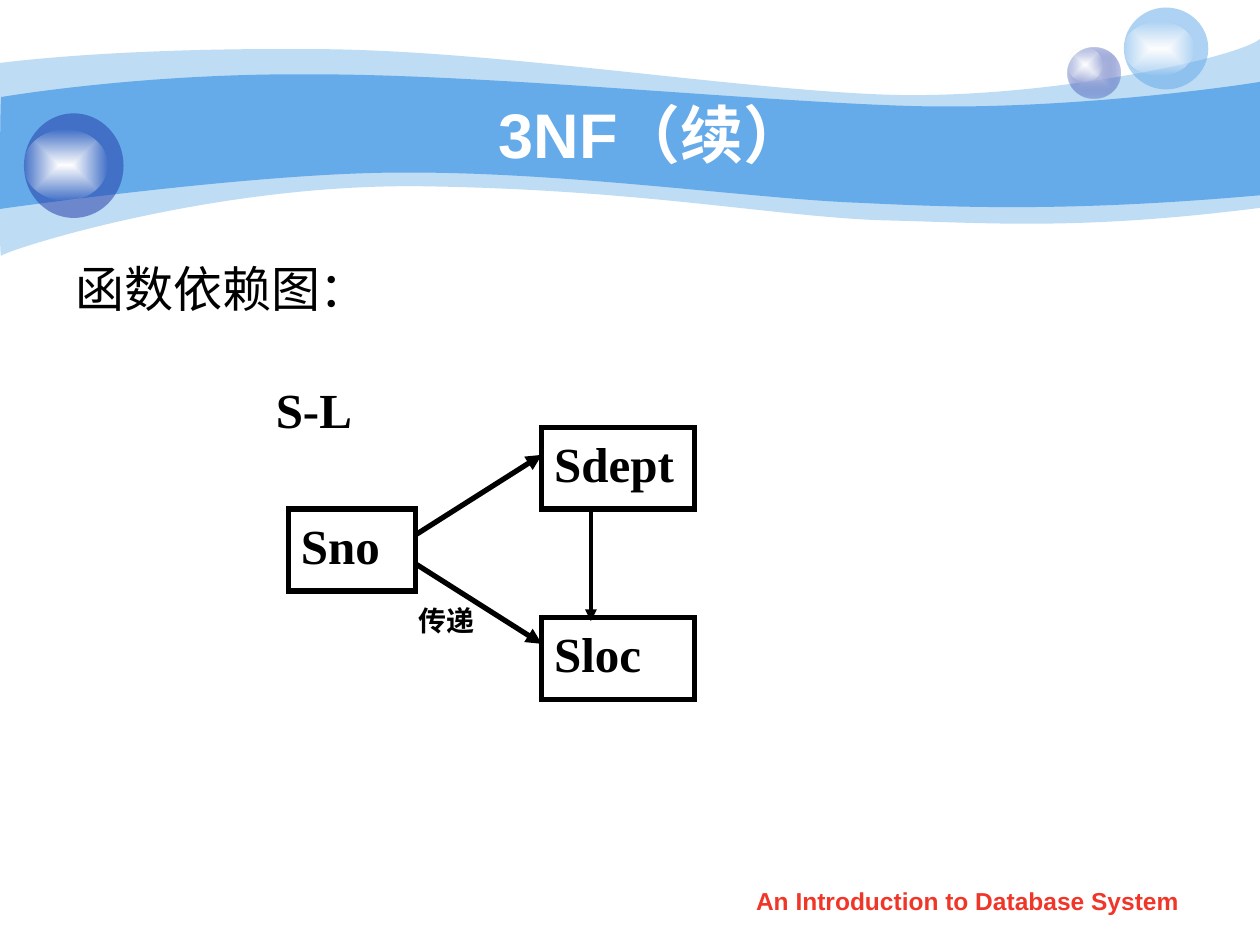
from dataclasses import dataclass

import pptx
import pptx.dml.color
import pptx.enum.shapes
import pptx.enum.text
import pptx.oxml
import pptx.oxml.ns
import pptx.util
from pptx.util import Inches

ALIGN = pptx.enum.text.PP_ALIGN
ANCHOR = pptx.enum.text.MSO_ANCHOR
NAMESPACE = pptx.oxml.ns.nsdecls("a")


@dataclass(frozen=True)
class Theme:
    sky: str = "65AAE9"
    navy: str = "233DA9"
    pale: str = "C7CEE9"
    white: str = "FFFFFF"
    black: str = "000000"
    red: str = "F03628"
    sans: str = "Arial"
    serif: str = "Times New Roman"
    title_size: int = 36
    body_size: int = 28
    label_size: int = 16
    footer_size: int = 14


THEME = Theme()

# Each wave is a start point, then segments: two controls and an end for a
# curve, or an end alone for a straight line.
OUTER_WAVE = ((0, 0.5), [
    ((0.24, 0.47), (1.07, 0.38), (2.47, 0.39)),
    ((3.86, 0.39), (5.75, 0.7), (6.99, 0.75)),
    ((8.22, 0.8), (9.8, 0.47), (10, 0.31)),
    ((10, 1.65),),
    ((8.58, 1.83), (7.87, 1.77), (7.05, 1.75)),
    ((6.22, 1.73), (5.15, 1.51), (3.43, 1.48)),
    ((1.72, 1.44), (0.04, 1.99), (0.01, 2.03)),
    ((-0.01, 2.08), (0, 0.75), (0, 0.5)),
])
INNER_WAVE = ((0.01, 0.77), [
    ((0.02, 0.77), (1.1, 0.58), (2.48, 0.59)),
    ((3.86, 0.59), (5.95, 0.8), (7.18, 0.84)),
    ((8.41, 0.88), (9.76, 0.69), (10, 0.65)),
    ((10, 1.55),),
    ((8.53, 1.68), (7.65, 1.65), (6.82, 1.61)),
    ((5.99, 1.58), (4.47, 1.36), (3.17, 1.37)),
    ((2.03, 1.37), (-0.02, 1.66), (-0.01, 1.66)),
    ((0, 1.66), (0, 0.77), (0.01, 0.77)),
])


def rgb(color):
    return pptx.dml.color.RGBColor.from_string(color)


def color_xml(color, alpha):
    return f'<a:srgbClr val="{color}"><a:alpha val="{alpha * 1000}"/></a:srgbClr>'


def set_fill(shape, color, alpha=100):
    shape.fill.solid()
    shape.fill.fore_color.rgb = rgb(color)
    if alpha < 100:
        solid = shape._element.spPr.find(pptx.oxml.ns.qn("a:solidFill"))
        solid[0].append(pptx.oxml.parse_xml(
            f'<a:alpha {NAMESPACE} val="{alpha * 1000}"/>'))


def set_glow(shape, center, edge, edge_alpha):
    """Fill from the center outwards, with a see-through edge."""
    shape.fill.background()
    properties = shape._element.spPr
    empty = properties.find(pptx.oxml.ns.qn("a:noFill"))
    properties.replace(empty, pptx.oxml.parse_xml(
        f'<a:gradFill {NAMESPACE} rotWithShape="1"><a:gsLst>'
        f'<a:gs pos="0">{color_xml(center, 100)}</a:gs>'
        f'<a:gs pos="100000">{color_xml(edge, edge_alpha)}</a:gs></a:gsLst>'
        '<a:path path="rect"><a:fillToRect l="50000" t="50000" r="50000" b="50000"/>'
        '</a:path></a:gradFill>'))


def bend_segments(shape, segments):
    """Turn the straight segments of a freeform into cubic curves."""
    lines = list(shape._element.iter(pptx.oxml.ns.qn("a:lnTo")))
    for line, points in zip(lines, segments):
        if len(points) == 3:
            marks = "".join(
                f'<a:pt x="{Inches(x) - shape.left}" y="{Inches(y) - shape.top}"/>'
                for x, y in points)
            line.getparent().replace(line, pptx.oxml.parse_xml(
                f"<a:cubicBezTo {NAMESPACE}>{marks}</a:cubicBezTo>"))


def add_wave(slide, wave, alpha=100):
    start, segments = wave
    builder = slide.shapes.build_freeform(*map(Inches, start))
    builder.add_line_segments(
        [tuple(map(Inches, points[-1])) for points in segments], close=True)
    shape = builder.convert_to_shape()
    bend_segments(shape, segments)
    shape.shadow.inherit = False
    shape.line.fill.background()
    set_fill(shape, THEME.sky, alpha)


def add_ellipse(slide, *bounds):
    shape = slide.shapes.add_shape(
        pptx.enum.shapes.MSO_SHAPE.OVAL, *map(Inches, bounds))
    shape.shadow.inherit = False
    shape.line.fill.background()
    return shape


def add_highlight(slide, *bounds):
    set_glow(add_ellipse(slide, *bounds), THEME.white, THEME.white, 0)


def write(shape, text, size, font, color=THEME.black, bold=True,
          align=ALIGN.JUSTIFY, anchor=ANCHOR.TOP, wrap=True):
    frame = shape.text_frame
    frame.word_wrap = wrap
    frame.vertical_anchor = anchor
    paragraph = frame.paragraphs[0]
    paragraph.text = text
    paragraph.alignment = align
    paragraph.font.size = pptx.util.Pt(size)
    paragraph.font.name = font
    paragraph.font.bold = bold
    paragraph.font.color.rgb = rgb(color)


def add_text(slide, bounds, *args, **options):
    box = slide.shapes.add_textbox(*map(Inches, bounds))
    write(box, *args, **options)
    return box


def set_line(shape, width, detail):
    """Draw a black line, with one more line property given as XML."""
    shape.line.color.rgb = rgb(THEME.black)
    shape.line.width = pptx.util.Pt(width)
    shape.line._get_or_add_ln().append(pptx.oxml.parse_xml(detail))


def add_attribute(slide, name, left, top, width):
    """Draw a framed attribute of the relation."""
    shape = slide.shapes.add_shape(
        pptx.enum.shapes.MSO_SHAPE.RECTANGLE,
        *map(Inches, (left, top, width, 0.65)))
    shape.shadow.inherit = False
    shape.fill.background()
    set_line(shape, 3, f'<a:miter {NAMESPACE} lim="800000"/>')
    write(shape, name, THEME.body_size, THEME.serif)


def add_arrow(slide, start, end, width=3):
    arrow = slide.shapes.add_connector(
        pptx.enum.shapes.MSO_CONNECTOR.STRAIGHT, *map(Inches, start + end))
    set_line(arrow, width, f'<a:tailEnd {NAMESPACE} type="triangle"/>')
    arrow._element.spPr.append(pptx.oxml.parse_xml(f"<a:effectLst {NAMESPACE}/>"))


def add_banner(slide):
    add_wave(slide, OUTER_WAVE, 41)
    add_wave(slide, INNER_WAVE)
    set_glow(add_ellipse(slide, 8.47, 0.38, 0.42, 0.4), THEME.pale, THEME.navy, 31)
    add_highlight(slide, 8.47, 0.38, 0.28, 0.27)
    set_fill(add_ellipse(slide, 8.92, 0.06, 0.67, 0.65), THEME.sky, 53)
    add_highlight(slide, 8.92, 0.17, 0.56, 0.43)
    set_fill(add_ellipse(slide, 0.19, 0.9, 0.79, 0.83), THEME.navy, 53)
    add_highlight(slide, 0.19, 1.03, 0.66, 0.56)


def add_dependency_diagram(slide):
    add_text(slide, (2.09, 2.96, 1.21, 0.65), "S-L", THEME.body_size, THEME.serif)
    add_attribute(slide, "Sno", 2.29, 4.04, 1.01)
    add_attribute(slide, "Sdept", 4.3, 3.39, 1.21)
    add_attribute(slide, "Sloc", 4.3, 4.9, 1.21)
    add_arrow(slide, (3.29, 4.25), (4.3, 3.61))
    add_arrow(slide, (3.29, 4.47), (4.3, 5.11))
    add_arrow(slide, (4.69, 4.06), (4.69, 4.93), 2.25)
    add_text(slide, (2.85, 4.74, 1.39, 0.37), "传递", THEME.label_size, THEME.serif,
             align=ALIGN.CENTER, wrap=False)


def main():
    presentation = pptx.Presentation()
    presentation.slide_width = Inches(10)
    presentation.slide_height = Inches(7.5)
    slide = presentation.slides.add_slide(presentation.slide_layouts[6])
    add_banner(slide)
    add_text(slide, (5.71, 6.98, 3.94, 0.35), "An Introduction to Database System",
             THEME.footer_size, THEME.sans, THEME.red, align=ALIGN.CENTER)
    title = add_text(slide, (1, 0.75, 8.08, 0.62), "3NF（续）", THEME.title_size,
                     THEME.sans, THEME.white, align=ALIGN.CENTER, anchor=ANCHOR.MIDDLE)
    title.text_frame.margin_left = Inches(0.38)
    add_text(slide, (0.5, 2, 9, 4.92), "函数依赖图：", THEME.body_size, THEME.sans,
             bold=False, align=ALIGN.LEFT)
    add_dependency_diagram(slide)
    presentation.save("out.pptx")


if __name__ == "__main__":
    main()
